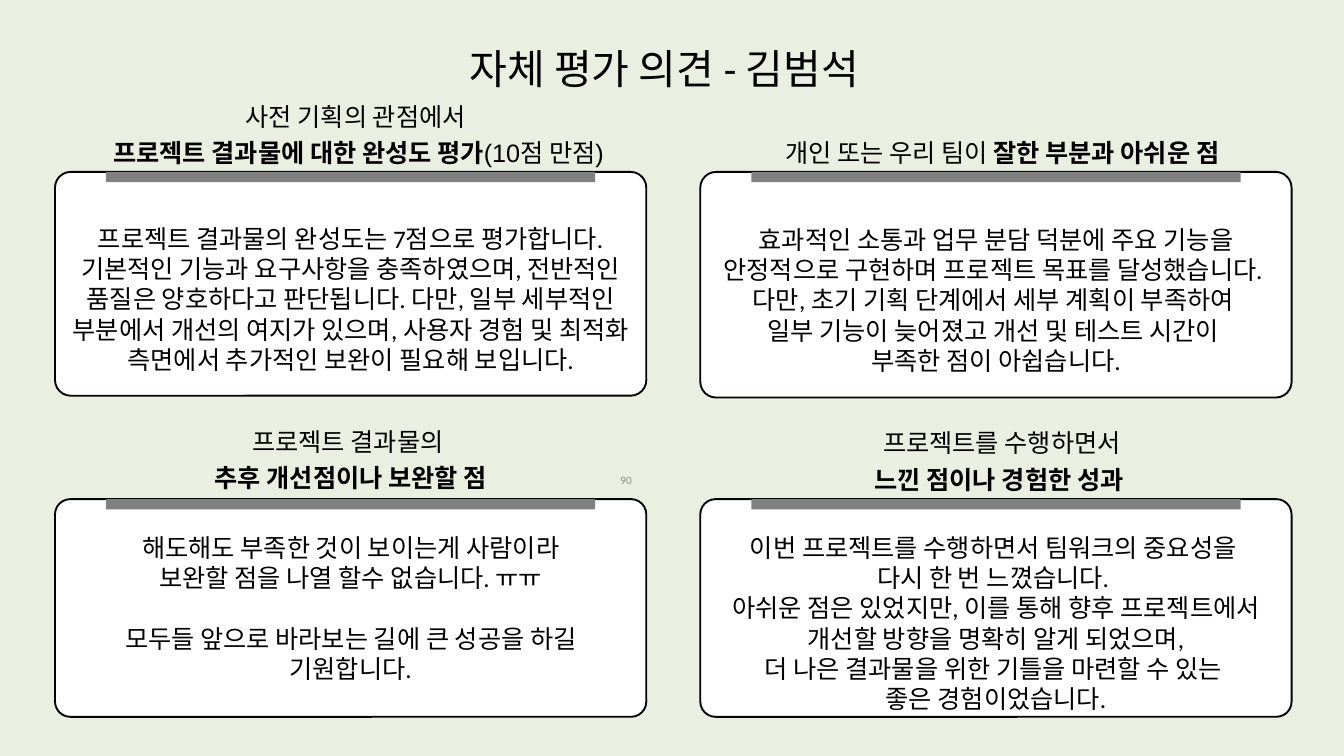
import dataclasses

import pptx
import pptx.dml.color
import pptx.enum.shapes
import pptx.enum.text
import pptx.util

Cm, Pt = pptx.util.Cm, pptx.util.Pt
RGB = pptx.dml.color.RGBColor
SHAPE = pptx.enum.shapes.MSO_SHAPE
ALIGN = pptx.enum.text.PP_ALIGN
ANCHOR = pptx.enum.text.MSO_ANCHOR


@dataclasses.dataclass(frozen=True)
class Theme:
    background: str = "E9EFE1"
    card: str = "FFFFFF"
    bar: str = "808080"
    ink: str = "000000"
    muted: str = "8C8C8C"
    body_font: str = "Calibri"
    heading_font: str = "Arial"
    title_size: int = 44
    text_size: int = 27
    number_size: int = 12
    outline: float = 2
    corner: float = 0.07
    line_step: float = 1.13  # height of one body line, cm


class Board:
    def __init__(self, prs, theme):
        self.theme = theme
        self.s = prs.slides.add_slide(prs.slide_layouts[6])
        fill = self.s.background.fill
        fill.solid()
        fill.fore_color.rgb = RGB.from_string(theme.background)

    def add_text(self, tf, paragraphs, color, para=None, **font):
        """Each paragraph is a string or a list of (text, bold) runs."""
        tf.word_wrap = True
        for i, runs in enumerate(paragraphs):
            p = tf.add_paragraph() if i else tf.paragraphs[0]
            for key, value in {"alignment": ALIGN.CENTER, **(para or {})}.items():
                setattr(p, key, value)
            for text, bold in [(runs, False)] if isinstance(runs, str) else runs:
                r = p.add_run()
                r.text = text
                for key, value in {"bold": bold, **font}.items():
                    setattr(r.font, key, value)
                r.font.color.rgb = RGB.from_string(color)

    def block(self, kind, box, color):
        sp = self.s.shapes.add_shape(kind, *map(Cm, box))
        sp.shadow.inherit = False
        sp.fill.solid()
        sp.fill.fore_color.rgb = RGB.from_string(color)
        sp.line.fill.background()
        return sp

    def label(self, box, paragraphs, color, size, font, anchor=ANCHOR.MIDDLE, **para):
        tf = self.s.shapes.add_textbox(*map(Cm, box)).text_frame
        tf.vertical_anchor = anchor
        self.add_text(tf, paragraphs, color, para, size=Pt(size), name=font)

    def heading(self, box, paragraphs, spacing):
        self.label(box, paragraphs, self.theme.ink, self.theme.text_size,
                   self.theme.heading_font, ANCHOR.TOP, line_spacing=spacing)

    def card(self, box, paragraphs, lowered, gap_before):
        t = self.theme
        sp = self.block(SHAPE.ROUNDED_RECTANGLE, box, t.card)
        sp.adjustments[0] = t.corner
        sp.line.color.rgb = RGB.from_string(t.ink)
        sp.line.width = Pt(t.outline)
        tf = sp.text_frame
        tf.vertical_anchor = ANCHOR.MIDDLE
        if lowered:
            tf.margin_top = Cm(0.13 + t.line_step)
        self.add_text(tf, paragraphs, t.ink, size=Pt(t.text_size), name=t.body_font)
        if gap_before is not None:
            tf.paragraphs[gap_before].space_before = Cm(t.line_step)

    def bar(self, left, top):
        self.block(SHAPE.RECTANGLE, (left + 1.93, top, 18.49, 0.39), self.theme.bar)


# Card grid: column lefts, row tops and card width, in cm
COLUMNS, ROWS, CARD_WIDTH = (2.08, 26.47), (6.5, 18.87), 22.35

# column, row, card height, body, lowered by a line, paragraph after a gap,
# heading box, heading, heading line spacing
PANELS = [
    (0, 0, 8.46,
     ["프로젝트 결과물의 완성도는 7점으로 평가합니다. 기본적인 기능과 요구사항을 "
      "충족하였으며, 전반적인 품질은 양호하다고 판단됩니다. 다만, 일부 세부적인 부분에서 "
      "개선의 여지가 있으며, 사용자 경험 및 최적화 측면에서 추가적인 보완이 필요해 보입니다."],
     True, None, (3.02, 3.48, 21.06, 2.9),
     ["사전 기획의 관점에서 ",
      [("프로젝트 결과물에 대한 완성도 평가", True), ("(10점 만점)", False)]], 1.2),
    (0, 1, 8.23,
     ["해도해도 부족한 것이 보이는게 사람이라",
      "보완할 점을 나열 할수 없습니다. ㅠㅠ",
      "모두들 앞으로 바라보는 길에 큰 성공을 하길 기원합니다."],
     False, 2, (3.63, 15.77, 19.25, 2.9),
     ["프로젝트 결과물의 ", [("추후 개선점이나 보완할 점", True)]], 1.2),
    (1, 1, 8.23,
     ["이번 프로젝트를 수행하면서 팀워크의 중요성을 ",
      "다시 한 번 느꼈습니다. ",
      "아쉬운 점은 있었지만, 이를 통해 향후 프로젝트에서 개선할 방향을 명확히 알게 되었으며,",
      "더 나은 결과물을 위한 기틀을 마련할 수 있는 ",
      "좋은 경험이었습니다."],
     True, None, (28.24, 15.82, 19.25, 2.9),
     ["프로젝트를 수행하면서", [("느낀 점이나 경험한 성과", True), (" ", False)]], 1.2),
    (1, 0, 8.53,
     ["효과적인 소통과 업무 분담 덕분에 주요 기능을 안정적으로 구현하며 "
      "프로젝트 목표를 달성했습니다. ",
      "다만, 초기 기획 단계에서 세부 계획이 부족하여 ",
      "일부 기능이 늦어졌고 개선 및 테스트 시간이 ",
      "부족한 점이 아쉽습니다."],
     True, None, (27.48, 4.95, 20.8, 1.42),
     [[("개인 또는 우리 팀이 ", False), ("잘한 부분과 아쉬운 점", True)]], 1.1),
]


def main():
    prs = pptx.Presentation()
    prs.slide_width, prs.slide_height = Cm(50.8), Cm(28.58)
    theme = Theme()
    board = Board(prs, theme)

    # Title and page number
    board.label((1.73, 1.5, 46.76, 2.16), ["자체 평가 의견 - 김범석"],
                theme.ink, theme.title_size, theme.body_font)
    board.label((18.21, 17.65, 5.92, 1.02), ["90"], theme.muted,
                theme.number_size, theme.body_font, alignment=ALIGN.RIGHT)

    # Four panels: card, bar along its top edge, heading above
    for col, row, height, body, lowered, gap, head_box, head, spacing in PANELS:
        left, top = COLUMNS[col], ROWS[row]
        board.card((left, top, CARD_WIDTH, height), body, lowered, gap)
        board.bar(left, top)
        board.heading(head_box, head, spacing)

    prs.save("out.pptx")


if __name__ == "__main__":
    main()
